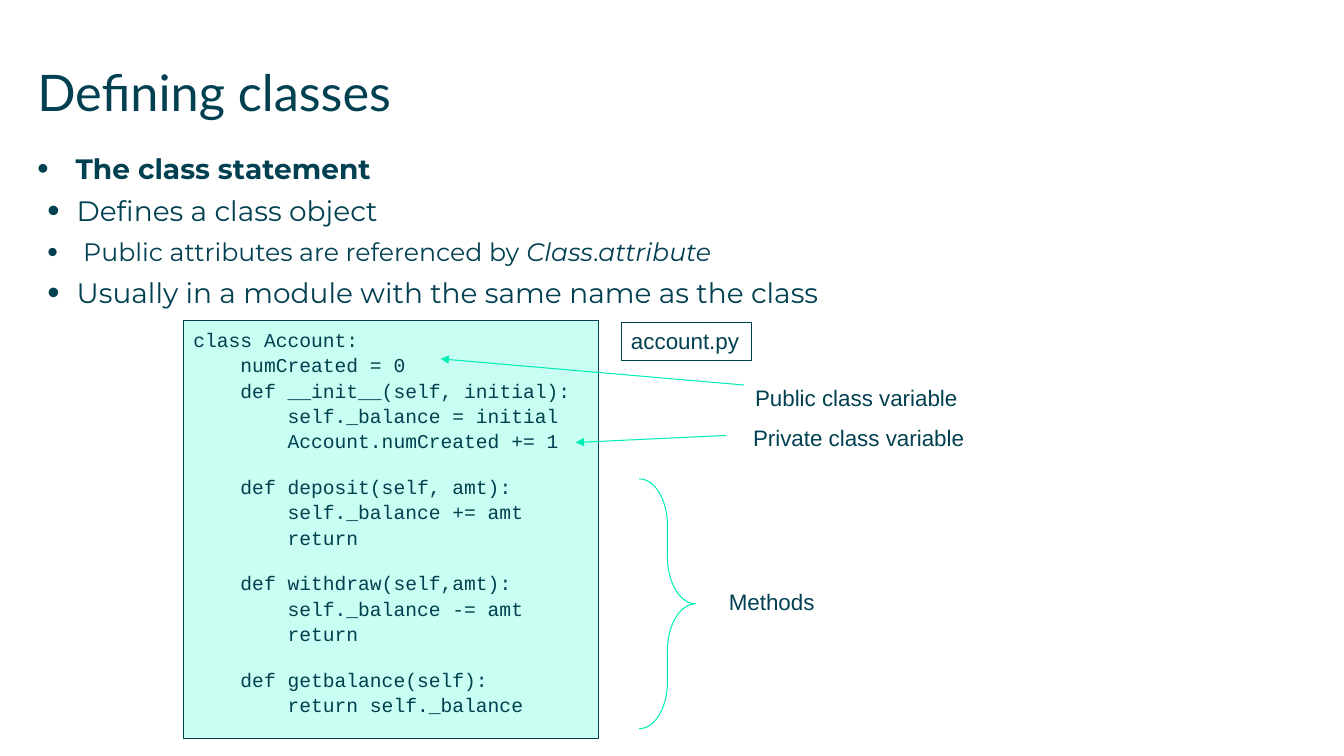
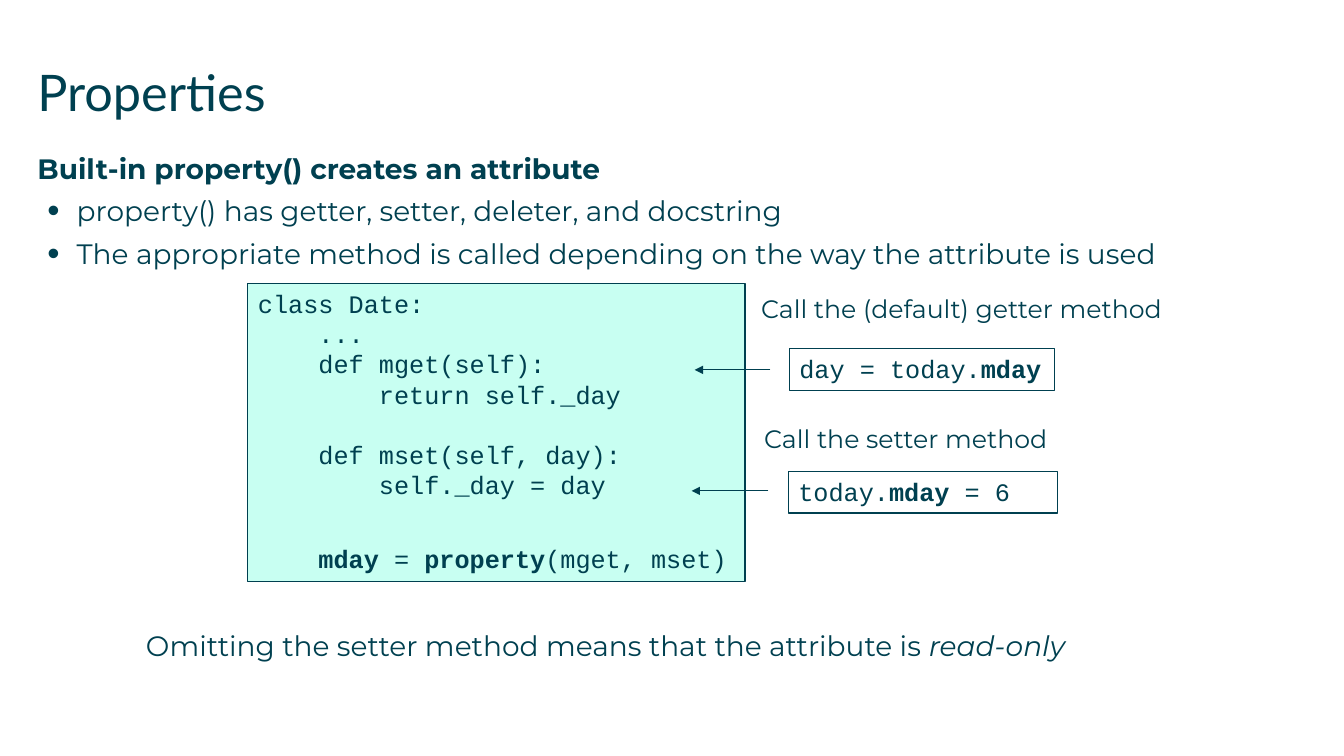
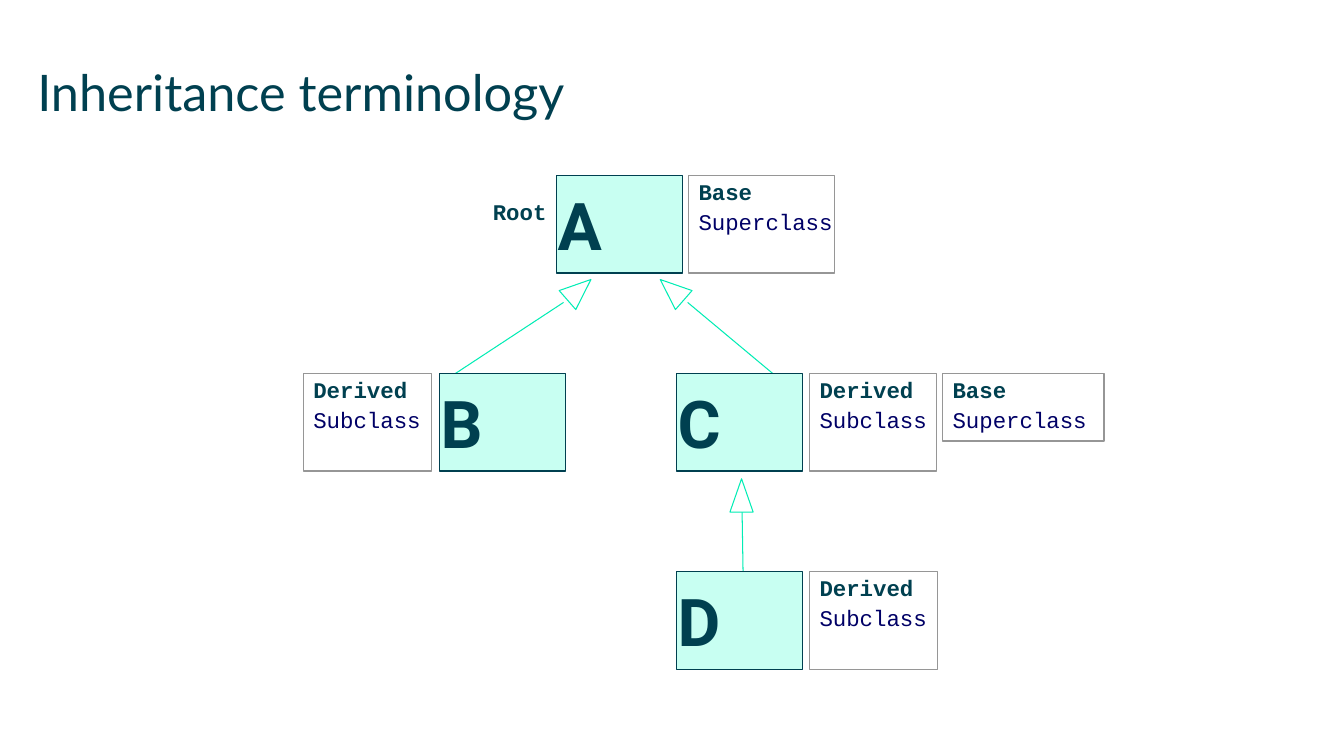
"""Build three slides on Python classes, properties and inheritance."""
from dataclasses import dataclass, field
from typing import Any, Optional

import lxml.etree
import pptx
import pptx.dml.color
import pptx.enum.shapes
import pptx.enum.text
import pptx.oxml.ns
import pptx.util

Inches = pptx.util.Inches
Pt = pptx.util.Pt
RGB = pptx.dml.color.RGBColor.from_string
Kind = pptx.enum.shapes.MSO_SHAPE
Anchor = pptx.enum.text.MSO_ANCHOR
qn = pptx.oxml.ns.qn
BOLD = {"bold": True}
ITALIC = {"italic": True}


@dataclass(frozen=True)
class Theme:
    ink: str = "004050"
    mint: str = "C8FFF2"
    green: str = "00EDB5"
    gray: str = "969696"
    navy: str = "000066"
    white: str = "FFFFFF"
    head: str = "Lato"
    body: str = "Montserrat"
    sans: str = "Arial"
    mono: str = "Courier New"
    block: str = "Roboto"
    title: float = 36
    large: float = 20
    mid: float = 18
    small: float = 16
    code: float = 14
    letter: float = 47


T = Theme()


@dataclass
class Para:
    runs: list[tuple[str, dict[str, Any]]]
    size: float
    face: str
    form: dict[str, Any] = field(default_factory=dict)
    left: float = 0
    hang: float = 0
    dot: int = 0


@dataclass
class Box:
    at: tuple[float, float, float, float]
    paras: list[Para] = field(default_factory=list)
    fill: Optional[str] = None
    edge: Optional[str] = None
    width: float = 0.75
    wrap: bool = True
    pads: tuple[float, float, float, float] = (0.1, 0.05, 0.1, 0.05)
    anchor: Any = Anchor.TOP
    kind: Any = Kind.RECTANGLE
    turn: float = 0


@dataclass
class Line:
    start: tuple[float, float]
    end: tuple[float, float]
    color: str = T.green
    arrow: bool = True


def put(item: Any, form: dict[str, Any]) -> None:
    """Set each named value on an item."""
    for name, value in form.items():
        setattr(item, name, value)


def plain(text: str, size: float, face: str, **form: Any) -> Para:
    """Make a paragraph of one run."""
    return Para([(text, form)], size, face)


def write(frame: Any, paras: list[Para]) -> None:
    """Fill a text frame with paragraphs."""
    for rank, para in enumerate(paras):
        line = frame.paragraphs[0] if rank == 0 else frame.add_paragraph()
        put(line, {"alignment": pptx.enum.text.PP_ALIGN.LEFT} | para.form)
        props = line._p.get_or_add_pPr()
        if para.left:
            props.set("marL", str(Inches(para.left)))
            props.set("indent", str(-Inches(para.hang)))
        if para.dot:
            for tag, key, value in (("buSzPct", "val", f"{para.dot}000"),
                                    ("buFont", "typeface", T.sans),
                                    ("buChar", "char", "•")):
                lxml.etree.SubElement(props, qn(f"a:{tag}")).set(key, value)
        for text, form in para.runs:
            run = line.add_run()
            run.text = text
            look = {"color": T.ink} | form
            run.font.color.rgb = RGB(look.pop("color"))
            put(run.font, {"name": para.face, "size": Pt(para.size)} | look)


def draw(slide: Any, box: Box) -> Any:
    """Draw a shape with its text."""
    shape = slide.shapes.add_shape(box.kind, *map(Inches, box.at))
    shape.shadow.inherit = False
    shape.rotation = box.turn
    if box.fill:
        shape.fill.solid()
        shape.fill.fore_color.rgb = RGB(box.fill)
    else:
        shape.fill.background()
    if box.edge:
        shape.line.color.rgb = RGB(box.edge)
        shape.line.width = Pt(box.width)
    else:
        shape.line.fill.background()
    sides = ("margin_left", "margin_top", "margin_right", "margin_bottom")
    frame = shape.text_frame
    put(frame, dict(zip(sides, map(Inches, box.pads))))
    put(frame, {"word_wrap": box.wrap, "vertical_anchor": box.anchor})
    write(frame, box.paras)
    return shape


def link(slide: Any, line: Line) -> None:
    """Draw a straight line, with an arrowhead if asked."""
    wire = slide.shapes.add_connector(
        pptx.enum.shapes.MSO_CONNECTOR.STRAIGHT,
        *map(Inches, line.start + line.end))
    wire.line.color.rgb = RGB(line.color)
    wire.line.width = Pt(0.75)
    if line.arrow:
        tail = lxml.etree.SubElement(wire.line._get_or_add_ln(), qn("a:tailEnd"))
        tail.set("type", "triangle")
    lxml.etree.SubElement(wire._element.spPr, qn("a:effectLst"))


def page(deck: Any, title: str, paras: Optional[list[Para]] = None) -> Any:
    """Add a slide with its title and body text."""
    slide = deck.slides.add_slide(deck.slide_layouts[6])
    none = (0, 0, 0, 0)
    draw(slide, Box((0.37, 0.61, 12.6, 0.88),
                    [plain(title, T.title, T.head)], pads=none))
    if paras:
        draw(slide, Box((0.37, 1.5, 12.59, 5.42), paras, pads=none))
    return slide


def point(*runs: tuple[str, dict[str, Any]], size: float = T.large,
          left: float = 0.39, hang: float = 0.29, dot: int = 125) -> Para:
    """Make a body paragraph."""
    return Para(list(runs), size, T.body, {"space_after": Pt(6.5)},
                left, hang, dot)


def code(rows: list[tuple[int, float, Any]], size: float, pitch: float) -> list[Para]:
    """Make code lines from depth, gap above and text."""
    step = 4 * 0.6 * size / 72
    return [Para([(text, {})] if isinstance(text, str) else text, size, T.mono,
                 {"line_spacing": Pt(pitch), "space_before": Pt(gap)},
                 left=depth * step)
            for depth, gap, text in rows]


def classes(deck: Any) -> None:
    """Build the slide on defining classes."""
    slide = page(deck, "Defining classes", [
        point(("The class statement", BOLD), left=0.38, hang=0.38, dot=115),
        point(("Defines a class object", {})),
        point((" Public attributes are referenced by ", {}), ("Class", ITALIC),
              (".", {}), ("attribute", ITALIC), size=T.mid, dot=120),
        point(("Usually in a module with the same name as the class", {})),
    ])
    gap = 14.3
    rows = [
        (0, 0, "class Account:"),
        (1, 0, "numCreated = 0"),
        (1, 0, "def __init__(self, initial):"),
        (2, 0, "self._balance = initial"),
        (2, 0, "Account.numCreated += 1"),
        (1, gap, "def deposit(self, amt):"),
        (2, 0, "self._balance += amt"),
        (2, 0, "return"),
        (1, gap, "def withdraw(self,amt):"),
        (2, 0, "self._balance -= amt"),
        (2, 0, "return"),
        (1, gap, "def getbalance(self):"),
        (2, 0, "return self._balance"),
    ]
    draw(slide, Box((1.82, 3.18, 4.12, 4.15), code(rows, T.code, 18.2),
                    T.mint, T.ink))
    for at, text, edge in (
            ((6.16, 3.2, 1.29, 0.38), "account.py", T.ink),
            ((7.39, 3.76, 2.21, 0.37), "Public class variable", None),
            ((7.37, 4.16, 2.32, 0.37), "Private class variable", None),
            ((7.13, 5.79, 1.05, 0.37), "Methods", None)):
        draw(slide, Box(at, [plain(text, T.small, T.sans)], edge=edge, wrap=False))
    link(slide, Line((7.38, 3.82), (4.37, 3.56)))
    link(slide, Line((7.2, 4.32), (5.71, 4.39)))
    brace = draw(slide, Box((6.34, 4.75, 0.56, 2.48), edge=T.green,
                            kind=Kind.RIGHT_BRACE))
    brace.adjustments[0] = 0.83


def getters(deck: Any) -> None:
    """Build the slide on properties."""
    slide = page(deck, "Properties", [
        point(("Built-in property() creates an attribute", BOLD),
              left=0, hang=0, dot=0),
        point(("property() has getter, setter, deleter, and docstring", {})),
        point(("The appropriate method is called depending on the way "
               "the attribute is used", {})),
    ])
    rows = [
        (0, 0, "class Date:"),
        (1, 0, "..."),
        (1, 0, "def mget(self):"),
        (2, 0, "return self._day"),
        (1, 21.6, "def mset(self, day):"),
        (2, 0, "self._day = day"),
        (1, 31.2, [("mday", BOLD), (" = ", {}), ("property", BOLD),
                   ("(mget, mset)", {})]),
    ]
    draw(slide, Box((2.46, 2.81, 4.93, 2.96), code(rows, T.mid, 21.6),
                    T.mint, T.ink))
    for at, runs in (
            ((7.83, 3.46, 2.63, 0.41), [("day = today.", {}), ("mday", BOLD)]),
            ((7.82, 4.68, 2.67, 0.41),
             [("today.", {}), ("mday", BOLD), (" = 6", {})])):
        draw(slide, Box(at, [Para(runs, T.mid, T.mono)], T.white, T.ink))
    for at, text in (
            ((7.45, 2.86, 4.23, 0.4), "Call the (default) getter method"),
            ((7.48, 4.15, 3.05, 0.4), "Call the setter method")):
        draw(slide, Box(at, [plain(text, T.mid, T.body)], wrap=False))
    link(slide, Line((7.64, 3.67), (6.89, 3.67), T.ink))
    link(slide, Line((7.62, 4.87), (6.86, 4.87), T.ink))
    note = [("Omitting the setter method means that the attribute is ", {}),
            ("read-only", ITALIC)]
    draw(slide, Box((1.35, 6.19, 9.86, 0.44), [Para(note, T.large, T.body)]))


def tree(deck: Any) -> None:
    """Build the slide on inheritance terms."""
    slide = page(deck, "Inheritance terminology")
    tops = [1.74 + 1.965 * row for row in range(3)]
    high = 0.97
    base, sub = ("Base", "Superclass"), ("Derived", "Subclass")
    for left, row, wide, tall, words in (
            (6.83, 0, 1.45, high, base), (3.01, 1, 1.27, high, sub),
            (8.03, 1, 1.26, high, sub), (9.35, 1, 1.6, 0.67, base),
            (8.03, 2, 1.27, high, sub)):
        paras = [plain(words[0], T.small, T.mono, bold=True),
                 plain(words[1], T.small, T.mono, color=T.navy)]
        for para, gap in zip(paras, (0, 4.5)):
            para.form = {"line_spacing": Pt(17.3), "space_before": Pt(gap)}
        draw(slide, Box((left, tops[row], wide, tall), paras, edge=T.gray,
                        width=1, pads=(0.1, 0.05, 0, 0.05)))
    draw(slide, Box((4.79, 1.92, 0.8, 0.35),
                    [plain("Root", T.small, T.mono, bold=True)],
                    pads=(0.1, 0.05, 0, 0.05)))
    for start, end in (((4.51, 3.71), (5.59, 3)), ((7.67, 3.71), (6.82, 3)),
                       ((7.37, 5.67), (7.36, 5.06))):
        link(slide, Line(start, end, arrow=False))
    for at, turn in (((5.62, 2.72, 0.25, 0.31), 48.8),
                     ((6.54, 2.72, 0.25, 0.31), 311.2),
                     ((7.24, 4.75, 0.23, 0.33), 0)):
        draw(slide, Box(at, fill=T.white, edge=T.green,
                        kind=Kind.ISOSCELES_TRIANGLE, turn=turn))
    for name, left, row in (("A", 5.52, 0), ("B", 4.36, 1),
                            ("C", 6.71, 1), ("D", 6.71, 2)):
        draw(slide, Box((left, tops[row], 1.25, high),
                        [plain(name, T.letter, T.block, bold=True)],
                        T.mint, T.ink, 1, pads=(0.01, 0.05, 0.1, 0.05),
                        anchor=Anchor.MIDDLE))


def main() -> None:
    """Build and save the deck."""
    deck = pptx.Presentation()
    put(deck, {"slide_width": Inches(13.33), "slide_height": Inches(7.5)})
    for build in (classes, getters, tree):
        build(deck)
    deck.save("out.pptx")


if __name__ == "__main__":
    main()
